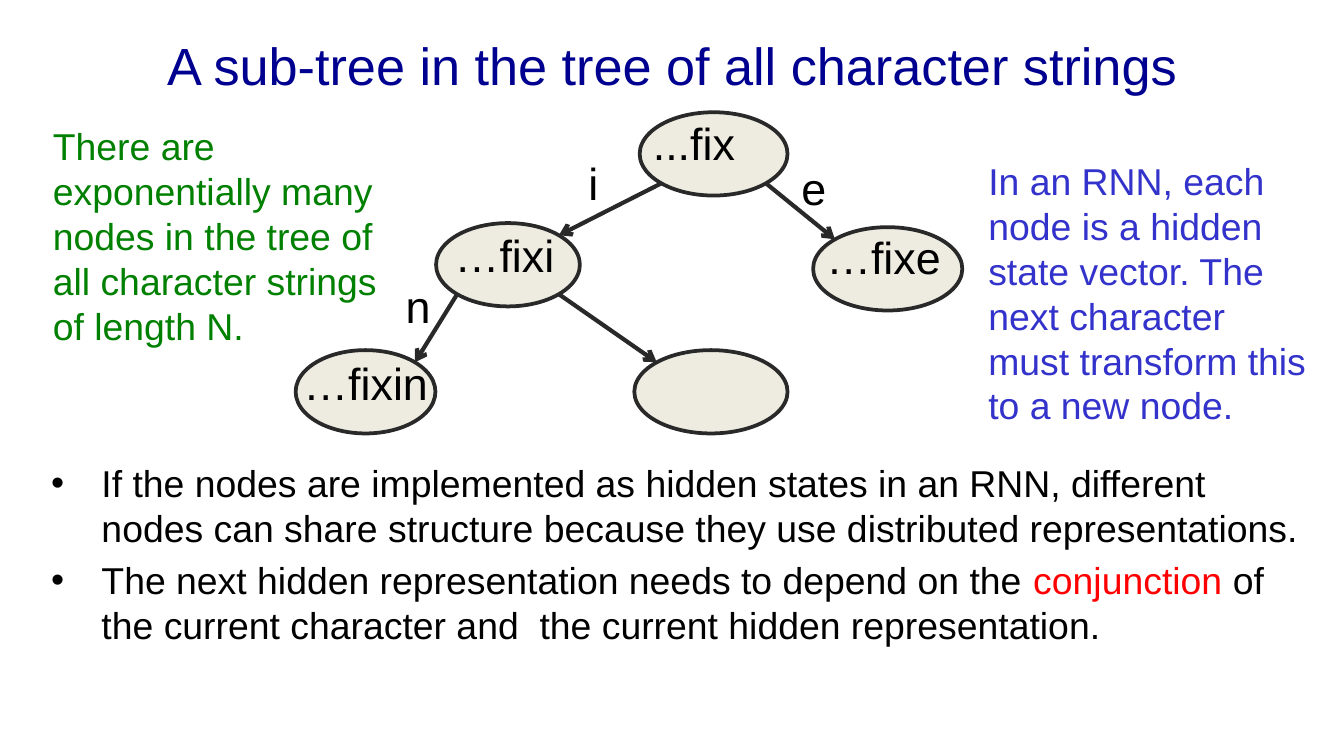
from lxml import etree
from pptx import Presentation, util as u
from pptx.dml.color import RGBColor
from pptx.enum import shapes, text
from pptx.oxml.ns import qn

COLORS = {"title": "000090", "ink": "000000", "key": "FF0000", "growth": "008000",
          "rnn": "3333CC", "node": "EEECE1", "edge": "292929"}

prs = Presentation()
prs.slide_width = u.Inches(10)
prs.slide_height = prs.slide_width * 9 // 16
cell = prs.slide_width / 100  # square grid, 100 columns wide
slide = prs.slides.add_slide(prs.slide_layouts[1])


def grid(*cells):
    return [round(n * cell) for n in cells]


def write(paragraph, words, size=24, color="ink"):
    run = paragraph.add_run()
    run.text = words
    run.font.name, run.font.size = "Arial", u.Pt(size)
    run.font.color.rgb = RGBColor.from_string(COLORS[color])


# Title and bullet list
title, body = slide.shapes.title, slide.placeholders[1]
title.left, title.top, title.width, title.height = grid(5, 0.1, 90, 9.35)
title.text_frame.vertical_anchor = text.MSO_ANCHOR.MIDDLE
write(title.text_frame.paragraphs[0], "A sub-tree in the tree of all character strings",
      size=28, color="title")

body.left, body.top, body.width, body.height = grid(2.8, 33.75, 95, 17.5)
bullets = [
    [("If the nodes are implemented as hidden states in an RNN, different nodes can "
      "share structure because they use distributed representations.", "ink")],
    [("The next hidden representation needs to depend on the ", "ink"),
     ("conjunction ", "key"),
     ("of the current character and  the current hidden representation.", "ink")],
]
for i, runs in enumerate(bullets):
    item = body.text_frame.paragraphs[0] if i == 0 else body.text_frame.add_paragraph()
    props = item._p.get_or_add_pPr()
    props.set("marL", str(u.Pt(27)))
    props.set("indent", str(-u.Pt(27)))
    etree.SubElement(props, qn("a:buChar"), char="•")
    item.space_before = u.Pt(4 * i)
    for words, color in runs:
        write(item, words, size=20, color=color)

# Tree nodes: left, top, width
NODE_HEIGHT = 6.2
nodes = {"fix": (47.6, 8.35, 11), "fixi": (32.45, 16.6, 10.7), "blank": (47.2, 26.05, 11.4),
         "fixe": (60.5, 16.9, 11.1), "fixin": (22, 26.05, 10.4)}
for left, top, width in nodes.values():
    node = slide.shapes.add_shape(shapes.MSO_SHAPE.OVAL, *grid(left, top, width, NODE_HEIGHT))
    node.shadow.inherit = False
    node.fill.solid()
    node.fill.fore_color.rgb = RGBColor.from_string(COLORS["node"])
    node.line.color.rgb = RGBColor.from_string(COLORS["edge"])
    node.line.width = u.Pt(2)

# Branches run between the diagonal points of the ovals
INSET = 0.146  # share of the oval's box outside its 45-degree points
branches = [("fix", "fixi", "left"), ("fixi", "fixin", "left"),
            ("fix", "fixe", "right"), ("fixi", "blank", "right")]
for parent, child, side in branches:
    (x1, y1, w1), (x2, y2, w2) = nodes[parent], nodes[child]
    start, end = (INSET, 1 - INSET) if side == "left" else (1 - INSET, INSET)
    branch = slide.shapes.add_connector(shapes.MSO_CONNECTOR.STRAIGHT, *grid(
        x1 + start * w1, y1 + (1 - INSET) * NODE_HEIGHT,
        x2 + end * w2, y2 + INSET * NODE_HEIGHT))
    branch.line.color.rgb = RGBColor.from_string(COLORS["edge"])
    branch.line.width = u.Pt(2.25)
    etree.SubElement(branch.line._get_or_add_ln(), qn("a:tailEnd"), type="arrow")
    etree.SubElement(branch._element.spPr, qn("a:effectLst"))

# Node names, branch letters and side notes: words, box, size, colour
labels = [
    ("...fix", (47.6, 8.1, 11.7, 5), 24, "ink"),
    ("…fixi", (32.85, 16.45, 10.2, 5), 24, "ink"),
    ("…fixin", (21.6, 25.95, 11.6, 5), 24, "ink"),
    ("i", (42.8, 11.1, 4.3, 5), 24, "ink"),
    ("e", (58.65, 11.45, 4.3, 5), 24, "ink"),
    ("n", (29.2, 20.25, 4.3, 5), 24, "ink"),
    ("In an RNN, each node is a hidden state vector. The next character must "
     "transform this to a new node.", (72.55, 11.3, 25.8, 25.9), 20, "rnn"),
    ("…fixe", (60.5, 16.6, 12.7, 5), 24, "ink"),
    ("There are exponentially many nodes in the tree of all character strings "
     "of length N.", (2.95, 8.7, 28.3, 20.9), 20, "growth"),
]
for words, box, size, color in labels:
    frame = slide.shapes.add_textbox(*grid(*box)).text_frame
    frame.word_wrap = True
    frame.auto_size = text.MSO_AUTO_SIZE.SHAPE_TO_FIT_TEXT
    write(frame.paragraphs[0], words, size=size, color=color)

prs.save("out.pptx")
